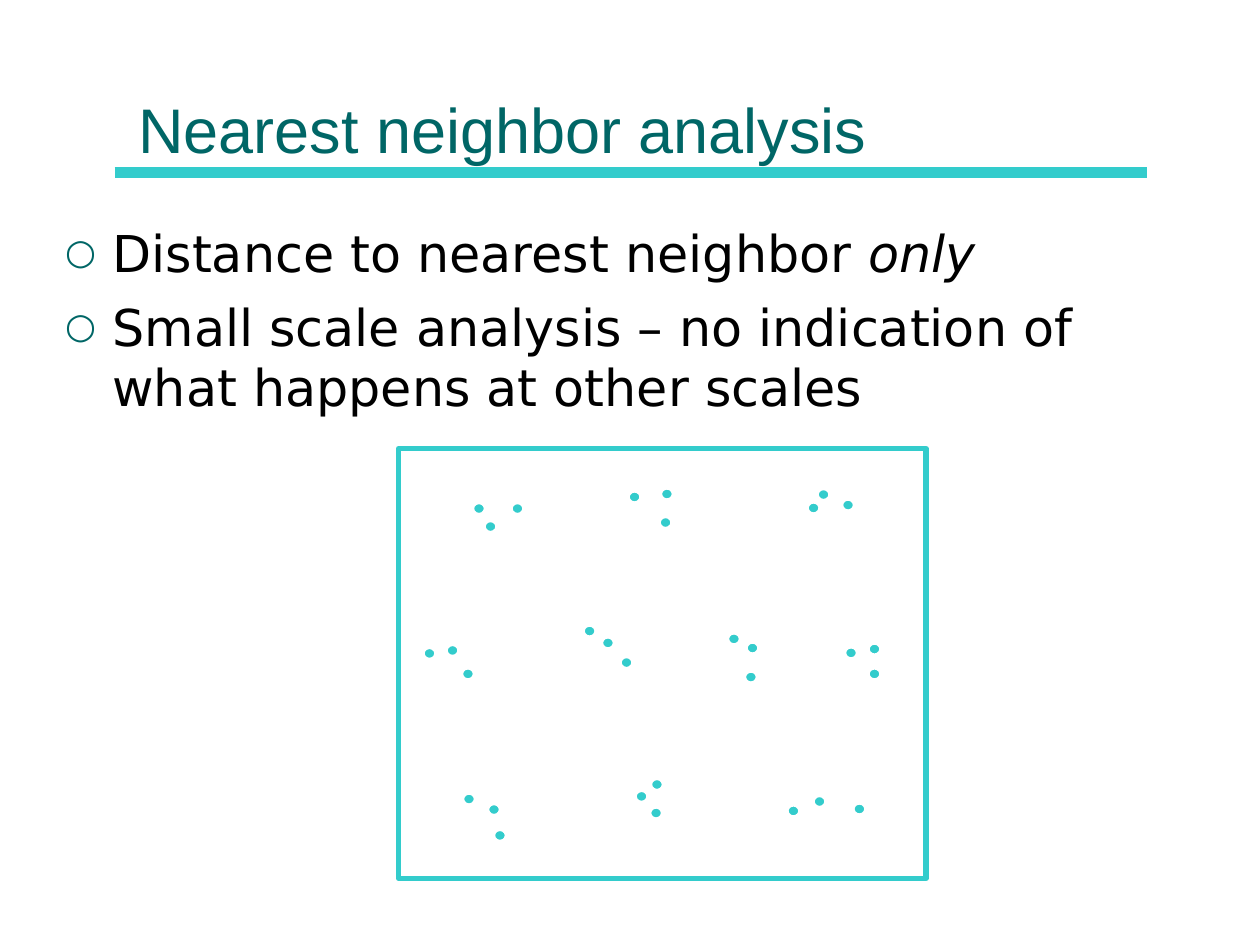
"""Build a slide on nearest neighbor analysis with a field of clustered dots."""
from dataclasses import dataclass
from typing import NamedTuple

from lxml.etree import SubElement as sub
from pptx import Presentation as Deck
from pptx.dml.color import RGBColor as Rgb
from pptx.enum.shapes import MSO_CONNECTOR as Link, MSO_SHAPE as Form
from pptx.enum.text import MSO_ANCHOR as Anchor
from pptx.oxml.ns import qn
from pptx.util import Pt


@dataclass(frozen=True)
class Theme:
    teal: str = "006666"
    aqua: str = "33CCCC"
    black: str = "000000"
    white: str = "FFFFFF"
    head_font: str = "Arial"
    body_font: str = "DejaVu Sans"
    head_size: float = 36
    body_size: float = 29


class Box(NamedTuple):
    left: float
    top: float
    width: float
    height: float


class Spot(NamedTuple):
    x: float
    y: float


class Point(NamedTuple):
    text: str
    stress: str = ""


THEME = Theme()
DOT_WIDTH, DOT_HEIGHT = 7, 6.5
HEAD = Box(72, 8.6, 576, 90)
BODY = Box(30.2, 123.1, 657.4, 324)
FRAME = Box(227.8, 256.3, 301.4, 245.6)
RULE = Spot(65.5, 98.6), Spot(655.2, 98.6)
POINTS = (
    Point("Distance to nearest neighbor ", "only"),
    Point("Small scale analysis – no indication of what happens at other scales"),
)
GROUPS = (
    (Spot(273.7, 290.6), Spot(295.7, 290.6), Spot(280.3, 300.9)),
    (Spot(362.6, 284), Spot(381.1, 282.3), Spot(380.3, 298.6)),
    (Spot(470.6, 282.6), Spot(484.6, 288.6), Spot(464.9, 290.3)),
    (Spot(245.4, 373.4), Spot(258.6, 371.7), Spot(267.4, 385.1)),
    (Spot(336.9, 360.6), Spot(347.4, 367.4), Spot(358, 378.6)),
    (Spot(419.4, 365.1), Spot(430, 370.3), Spot(429.1, 386.9)),
    (Spot(486.3, 373.1), Spot(499.7, 370.9), Spot(499.7, 385.1)),
    (Spot(268, 456.6), Spot(282.3, 462.6), Spot(285.7, 477.4)),
    (Spot(375.4, 448.3), Spot(366.6, 455.1), Spot(374.9, 464.6)),
    (Spot(468.3, 458), Spot(491.1, 462.3), Spot(453.4, 463.4)),
)


def style(run, font: str, size: float, color: str) -> None:
    """Set the font, size and colour of a run."""
    run.font.name = font
    run.font.size = Pt(size)
    run.font.color.rgb = Rgb.from_string(color)


def add_frame(slide, box: Box):
    """Add a wrapping text box and return its text frame."""
    frame = slide.shapes.add_textbox(*map(Pt, box)).text_frame
    frame.word_wrap = True
    return frame


def add_rule(slide, start: Spot, end: Spot) -> None:
    """Draw the thick line below the title."""
    rule = slide.shapes.add_connector(Link.STRAIGHT, *map(Pt, (*start, *end)))
    rule.line.color.rgb = Rgb.from_string(THEME.aqua)
    rule.line.width = Pt(6)
    sub(rule._element.spPr, qn("a:effectLst"))


def add_title(slide, text: str) -> None:
    """Write the title on the rule."""
    frame = add_frame(slide, HEAD)
    frame.vertical_anchor = Anchor.BOTTOM
    frame.text = text
    style(frame.paragraphs[0].runs[0], THEME.head_font, THEME.head_size, THEME.teal)


def add_bullet(para) -> None:
    """Give a paragraph a hanging ring bullet."""
    props = para._p.get_or_add_pPr()
    props.set("marL", str(Pt(27)))
    props.set("indent", str(-Pt(27)))
    sub(sub(props, qn("a:buClr")), qn("a:srgbClr"), val=THEME.teal)
    sub(props, qn("a:buSzPct"), val="70000")
    sub(props, qn("a:buFont"), typeface=THEME.body_font)
    sub(props, qn("a:buChar"), char="○")


def add_body(slide, points: tuple[Point, ...]) -> None:
    """Write the bullet points."""
    frame = add_frame(slide, BODY)
    for rank, point in enumerate(points):
        para = frame.add_paragraph() if rank else frame.paragraphs[0]
        para.text = point.text
        add_bullet(para)
        if rank:
            para.space_before = Pt(7.3)
        if point.stress:
            run = para.add_run()
            run.text = point.stress
            run.font.italic = True
        for run in para.runs:
            style(run, THEME.body_font, THEME.body_size, THEME.black)


def add_form(slide, form: Form, box: Box, fill: str, line: str, weight: float) -> None:
    """Draw a preset shape, unfilled when the fill is empty."""
    shape = slide.shapes.add_shape(form, *map(Pt, box))
    shape.shadow.inherit = False
    if fill:
        shape.fill.solid()
        shape.fill.fore_color.rgb = Rgb.from_string(fill)
    else:
        shape.fill.background()
    shape.line.color.rgb = Rgb.from_string(line)
    shape.line.width = Pt(weight)


def add_dot(slide, spot: Spot) -> None:
    """Draw one dot centred on its spot."""
    box = Box(spot.x - DOT_WIDTH / 2, spot.y - DOT_HEIGHT / 2, DOT_WIDTH, DOT_HEIGHT)
    add_form(slide, Form.OVAL, box, THEME.aqua, THEME.white, 1.5)


def main() -> None:
    """Build and save the slide."""
    deck = Deck()
    deck.slide_width, deck.slide_height = Pt(720), Pt(540)
    slide = deck.slides.add_slide(deck.slide_layouts[6])
    add_rule(slide, *RULE)
    add_title(slide, "Nearest neighbor analysis")
    add_body(slide, POINTS)
    add_form(slide, Form.RECTANGLE, FRAME, "", THEME.aqua, 3)
    for group in GROUPS:
        for spot in group:
            add_dot(slide, spot)
    deck.save("out.pptx")


if __name__ == "__main__":
    main()
